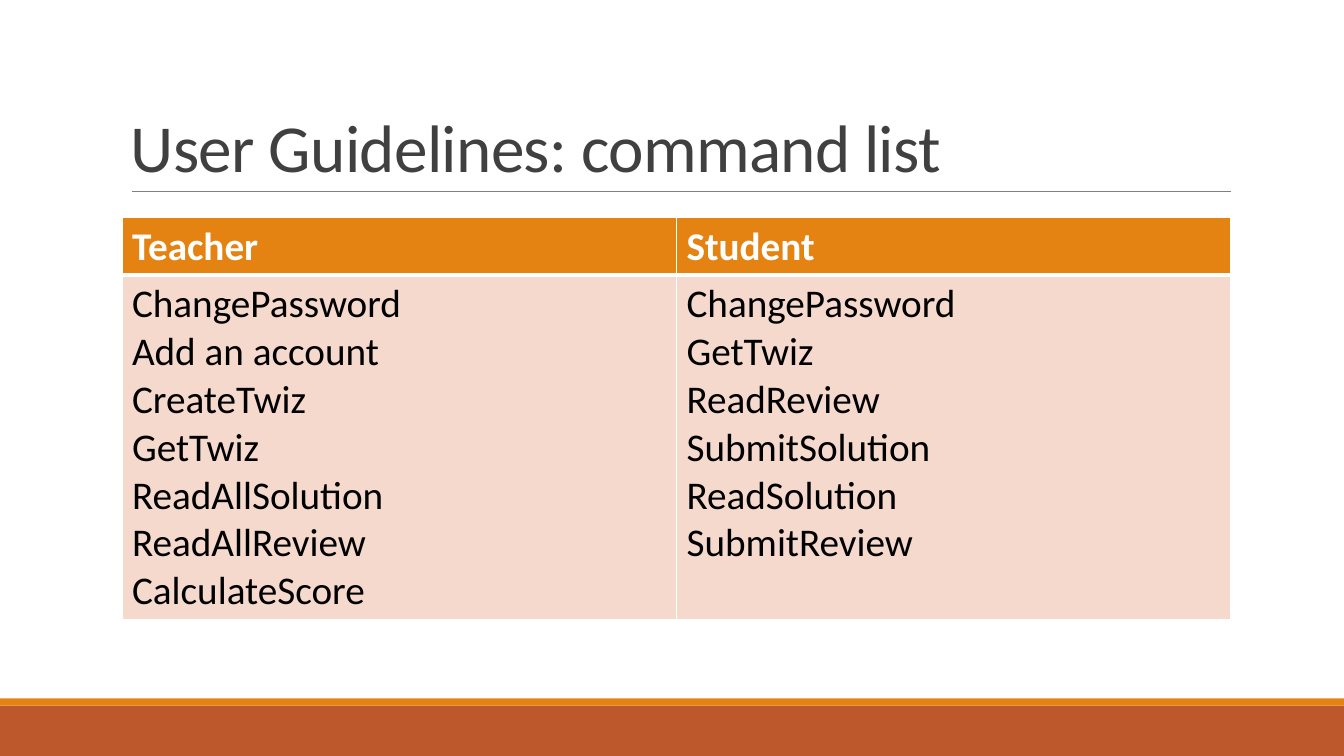
from lxml import etree
from pptx import Presentation
from pptx import util as u
from pptx.dml.color import RGBColor
from pptx.enum import shapes, text
from pptx.oxml import ns

HUES = {"rust": "BD582C", "gold": "E48312", "rule": "808080", "title": "404040",
        "white": "FFFFFF", "black": "000000", "blush": "F5D9CC"}
ROLES = {
    "Teacher": ["ChangePassword", "Add an account", "CreateTwiz", "GetTwiz",
                "ReadAllSolution", "ReadAllReview", "CalculateScore"],
    "Student": ["ChangePassword", "GetTwiz", "ReadReview", "SubmitSolution",
                "ReadSolution", "SubmitReview"],
}


def hue(name):
    """Return a named colour."""
    return RGBColor.from_string(HUES[name])


def add_run(para, words, size, color, bold=False):
    """Add one styled run to a paragraph."""
    run = para.add_run()
    run.text = words
    font = run.font
    font.name, font.size, font.bold = "Calibri", u.Pt(size), bold
    font.color.rgb = hue(color)
    return run


def add_band(slide, top, height, color):
    """Add a full-width footer band."""
    band = slide.shapes.add_shape(shapes.MSO_SHAPE.RECTANGLE, 0, u.Inches(top),
                                  u.Inches(13.33), u.Inches(height))
    band.shadow.inherit = False
    band.fill.solid()
    band.fill.fore_color.rgb = hue(color)
    band.line.fill.background()


def add_rule(slide, left, right, top):
    """Add the thin line under the title."""
    rule = slide.shapes.add_connector(
        shapes.MSO_CONNECTOR.STRAIGHT, u.Inches(left), u.Inches(top),
        u.Inches(right), u.Inches(top))
    rule.line.color.rgb = hue("rule")
    rule.line.width = u.Pt(0.5)
    etree.SubElement(rule._element.spPr, ns.qn("a:effectLst"))


def add_title(slide, words):
    """Add the bottom-anchored title."""
    box = slide.shapes.add_textbox(u.Inches(1.2), u.Inches(0.31),
                                   u.Inches(11), u.Inches(1.59))
    frame = box.text_frame
    frame.word_wrap = True
    frame.vertical_anchor = text.MSO_ANCHOR.BOTTOM
    para = frame.paragraphs[0]
    para.line_spacing = 0.85
    run = add_run(para, words, 48, "title")
    run._r.get_or_add_rPr().set("spc", "-50")


def add_edges(cell, top, bottom):
    """Draw white borders around a cell."""
    props = cell._tc.get_or_add_tcPr()
    for side, width in zip("LRTB", (1, 1, top, bottom)):
        edge = etree.SubElement(props, ns.qn(f"a:ln{side}"), w=str(u.Pt(width)))
        fill = etree.SubElement(edge, ns.qn("a:solidFill"))
        etree.SubElement(fill, ns.qn("a:srgbClr"), val=HUES["white"])


def fill_cell(cell, lines, fill, color, bold, top, bottom):
    """Style a cell and write one paragraph per line."""
    add_edges(cell, top, bottom)
    cell.fill.solid()
    cell.fill.fore_color.rgb = hue(fill)
    frame = cell.text_frame
    for i, line in enumerate(lines):
        para = frame.add_paragraph() if i else frame.paragraphs[0]
        add_run(para, line, 28, color, bold)


def add_grid(slide, roles):
    """Add the table with one column per role."""
    grid = slide.shapes.add_table(2, len(roles), u.Inches(1.21), u.Inches(2.16),
                                  u.Inches(11), u.Inches(3.99)).table
    for row, height in zip(grid.rows, (0.57, 3.42)):
        row.height = u.Inches(height)
    for col, (role, tasks) in enumerate(roles.items()):
        fill_cell(grid.cell(0, col), [role], "gold", "white", True, 1, 3)
        fill_cell(grid.cell(1, col), tasks, "blush", "black", False, 3, 1)


def main():
    """Build and save the slide."""
    deck = Presentation()
    deck.slide_width, deck.slide_height = u.Inches(13.33), u.Inches(7.5)
    slide = deck.slides.add_slide(deck.slide_layouts[6])
    add_band(slide, 7, 0.5, "rust")
    add_band(slide, 6.93, 0.07, "gold")
    add_rule(slide, 1.31, 12.21, 1.9)
    add_title(slide, "User Guidelines: command list")
    add_grid(slide, ROLES)
    deck.save("out.pptx")


if __name__ == "__main__":
    main()
